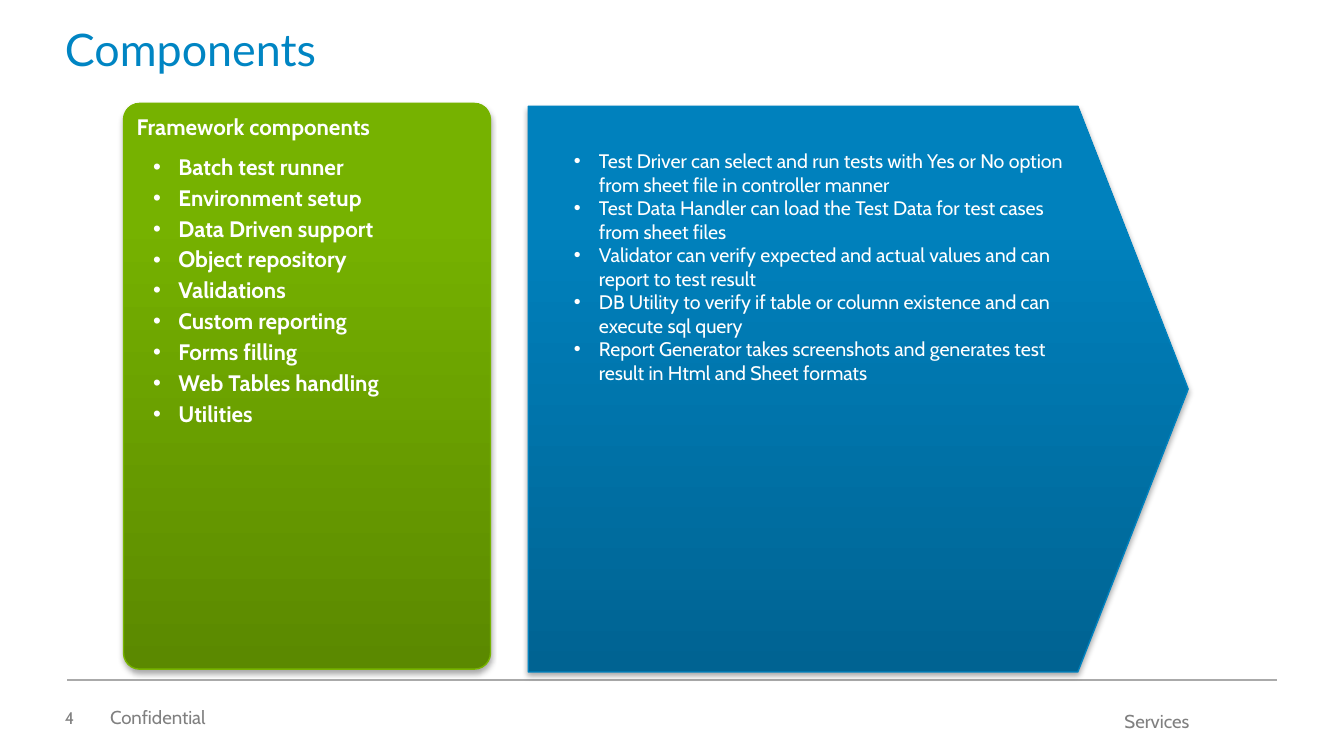
from copy import deepcopy

from lxml import etree
from pptx import Presentation
from pptx.dml.color import RGBColor
from pptx.enum import shapes, text
from pptx.oxml import ns
from pptx.util import Pt

WHITE = RGBColor(0xFF, 0xFF, 0xFF)
BLUE = RGBColor(0x00, 0x85, 0xC3)
GRAY = RGBColor(0x80, 0x80, 0x80)
RULE = RGBColor(0xAA, 0xAA, 0xAA)
GREEN_STOPS = [RGBColor(0x5B, 0x89, 0x00), RGBColor(0x76, 0xB2, 0x00), RGBColor(0x77, 0xB3, 0x00)]
GREEN_LINE = RGBColor(0x77, 0xB4, 0x00)
BLUE_STOPS = [RGBColor(0x00, 0x63, 0x92), RGBColor(0x00, 0x81, 0xBD), RGBColor(0x00, 0x81, 0xBE)]
BLUE_LINE = RGBColor(0x00, 0x82, 0xBF)
POSITIONS = [0, 0.8, 1]
INDENT = 13.5

TITLE = "Components"
HEADING = "Framework components"
COMPONENTS = [
    "Batch test runner",
    "Environment setup",
    "Data Driven support",
    "Object repository",
    "Validations",
    "Custom reporting",
    "Forms filling",
    "Web Tables handling",
    "Utilities",
]
DETAILS = [
    "Test Driver can select and run tests with Yes or No option from sheet file in controller manner",
    "Test Data Handler can load the Test Data for test cases from sheet files",
    "Validator can verify expected and actual values and can report to test result",
    "DB Utility to verify if table or column existence and can execute sql query",
    "Report Generator takes screenshots and generates test result in Html and Sheet formats",
]
MIDDLE, TOP = text.MSO_ANCHOR.MIDDLE, text.MSO_ANCHOR.TOP
LEFT, RIGHT = text.PP_ALIGN.LEFT, text.PP_ALIGN.RIGHT
FOOTERS = [
    ("4", (34.8, 381.5, 20.9, 7.2), dict(size=9, anchor=MIDDLE, spacing=0.9)),
    ("Services", (421.2, 380.2, 216, 12.2), dict(size=10, align=RIGHT)),
    ("Confidential", (59, 379.4, 73.4, 10.8), dict(size=10, anchor=MIDDLE, spacing=0.9)),
]
PANELS = [
    (shapes.MSO_SHAPE.ROUNDED_RECTANGLE, (66.2, 55.4, 196.6, 303.1), 0.044, GREEN_STOPS, GREEN_LINE),
    (shapes.MSO_SHAPE.PENTAGON, (283, 56.9, 353.5, 303.1), 0.195, BLUE_STOPS, BLUE_LINE),
]


def points(values):
    return [Pt(value) for value in values]


def add_child(parent, tag, **attributes):
    return etree.SubElement(parent, ns.qn(tag), attributes)


def add_bullet(para):
    props = para._p.get_or_add_pPr()
    props.set("marL", str(Pt(INDENT)))
    props.set("indent", str(-Pt(INDENT)))
    add_child(add_child(props, "a:buClr"), "a:srgbClr", val=str(WHITE))
    add_child(props, "a:buFont", typeface="Arial")
    add_child(props, "a:buChar", char="•")


def write(box, lines, size=12, color=WHITE, font="Cabin", bold=False, align=LEFT,
          anchor=TOP, spacing=1.0, before=0, inset=(0, 0), bullets=False, wrap=True):
    frame = box.text_frame
    frame.auto_size = text.MSO_AUTO_SIZE.NONE
    frame.word_wrap = wrap
    frame.vertical_anchor = anchor
    frame.margin_left = frame.margin_right = Pt(inset[0])
    frame.margin_top = frame.margin_bottom = Pt(inset[1])
    for index, line in enumerate(lines):
        para = frame.add_paragraph() if index else frame.paragraphs[0]
        para.alignment = align
        para.line_spacing = spacing
        para.space_before = Pt(before)
        if bullets:
            add_bullet(para)
        span = para.add_run()
        span.text = line
        span.font.size = Pt(size)
        span.font.name = font
        span.font.bold = bold
        span.font.color.rgb = color


def place(box, area):
    box.left, box.top, box.width, box.height = points(area)
    page.shapes._spTree.append(box._element)


def add_panel(kind, area, adjustment, colors, edge):
    panel = page.shapes.add_shape(kind, *points(area))
    panel.adjustments[0] = adjustment
    panel.fill.gradient()
    panel.fill.gradient_angle = 90
    stop_list = panel._element.spPr.find(".//" + ns.qn("a:gsLst"))
    stop_list.append(deepcopy(stop_list[-1]))
    for stop, color, position in zip(panel.fill.gradient_stops, colors, POSITIONS):
        stop.color.rgb = color
        stop.position = position
    panel.line.color.rgb = edge
    panel.line.width = Pt(0.75)
    panel.shadow.inherit = False
    effects = panel._element.spPr.find(ns.qn("a:effectLst"))
    shadow = add_child(effects, "a:outerShdw", blurRad=str(Pt(3.1)), dist=str(Pt(1.8)),
                       dir="5400000", rotWithShape="0")
    add_child(add_child(shadow, "a:srgbClr", val="000000"), "a:alpha", val="35000")


deck = Presentation()
deck.slide_width, deck.slide_height = Pt(720), Pt(405)
page = deck.slides.add_slide(deck.slide_layouts[3])
title, component_list, detail_list = page.placeholders

for label, area, style in FOOTERS:
    write(page.shapes.add_textbox(*points(area)), [label], color=GRAY, **style)

rule = page.shapes.add_connector(shapes.MSO_CONNECTOR.STRAIGHT, *points((36, 364.3, 684, 364.3)))
rule.line.color.rgb = RULE
rule.line.width = Pt(0.75)
add_child(rule._element.spPr, "a:effectLst")

place(title, (34.8, 15.1, 649.4, 25.9))
write(title, [TITLE], size=24, color=BLUE, font="Lato", spacing=0.9)

for panel in PANELS:
    add_panel(*panel)

heading = page.shapes.add_textbox(*points((66.2, 56.9, 153.4, 21.6)))
write(heading, [HEADING], bold=True, inset=(7.2, 3.6), wrap=False)

place(component_list, (74.9, 79.9, 252.7, 182.9))
write(component_list, COMPONENTS, bold=True, spacing=0.9, before=3.6, inset=(7.2, 3.6), bullets=True)

place(detail_list, (300.2, 76.3, 286.6, 159.8))
write(detail_list, DETAILS, size=10.5, inset=(7.2, 3.6), bullets=True)

deck.save("out.pptx")
